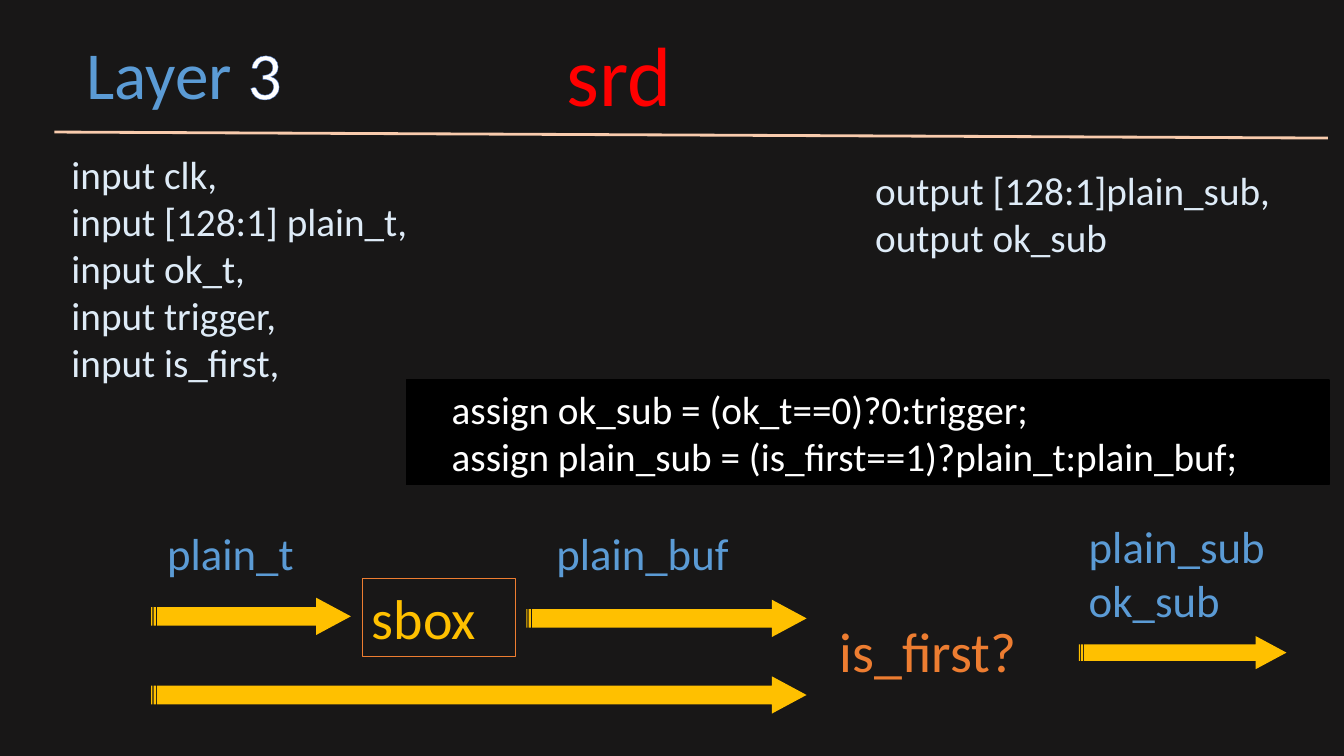
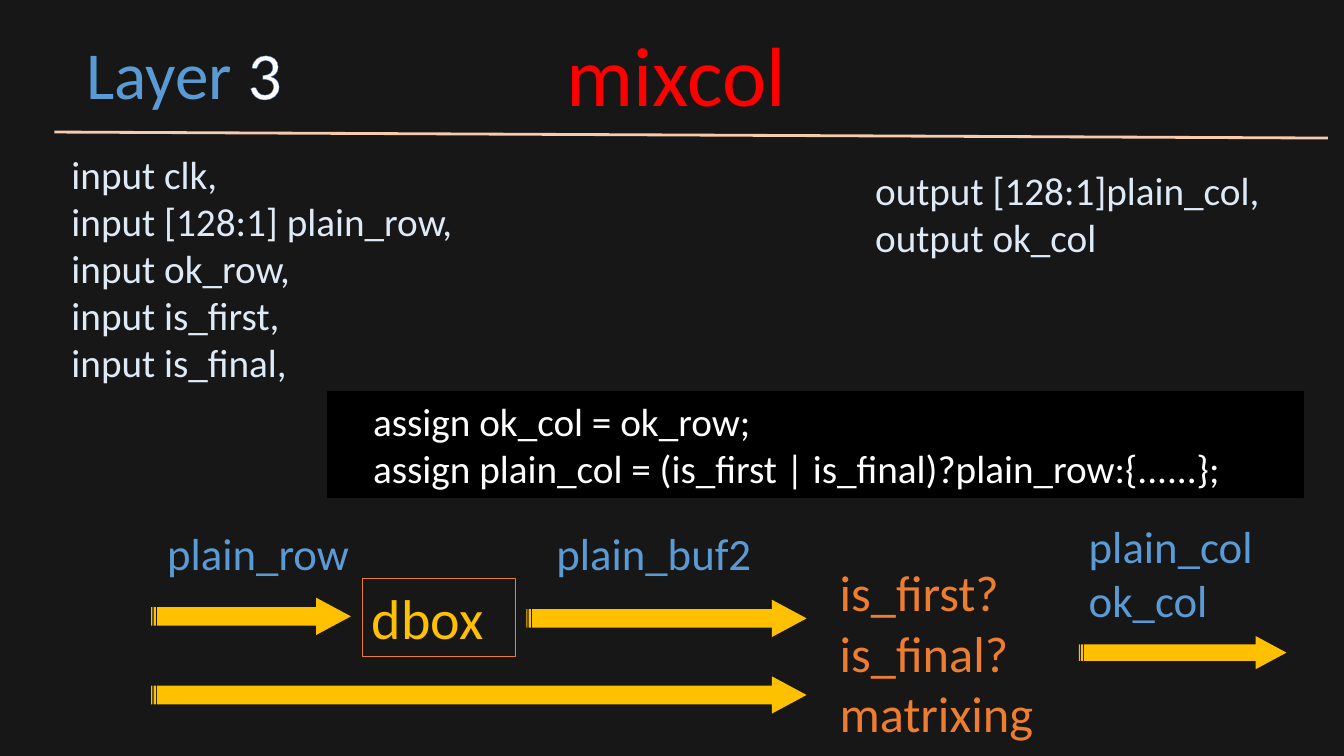
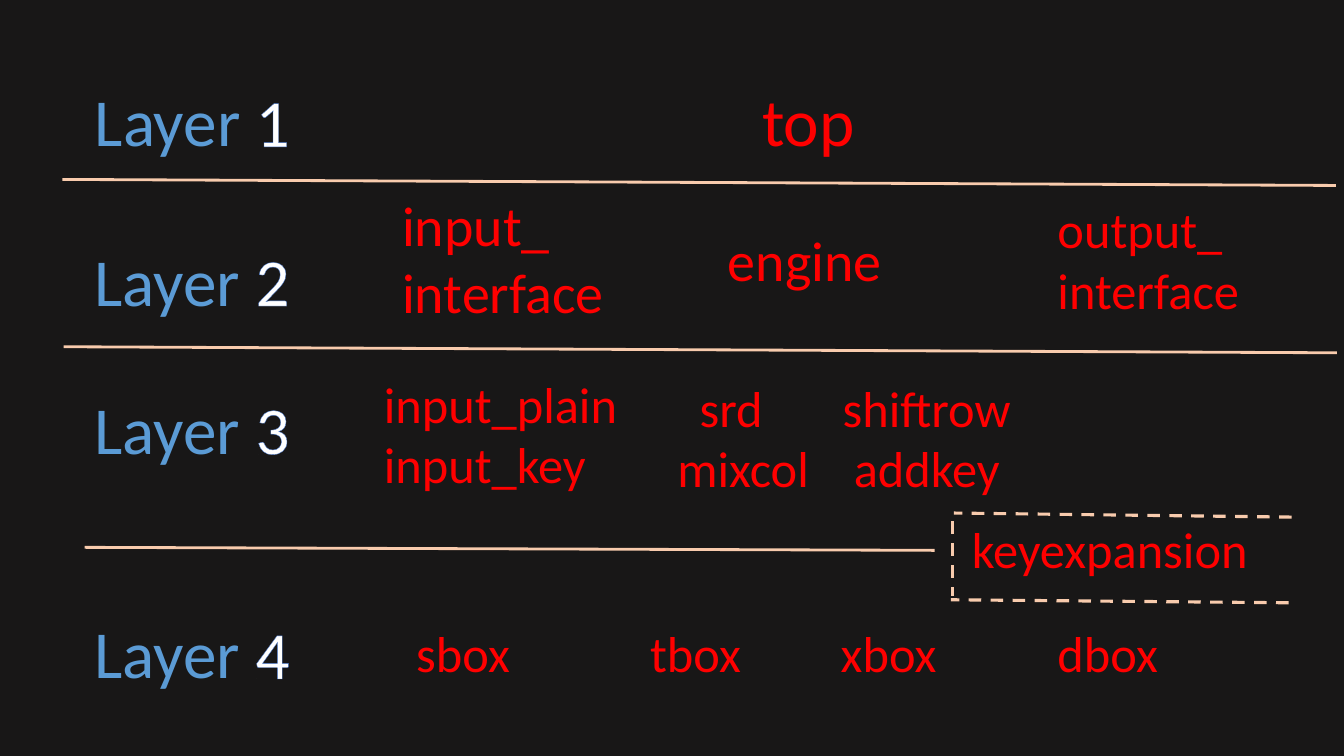
from pptx import Presentation
from pptx.dml.color import RGBColor
from pptx.enum.dml import MSO_LINE
from pptx.enum.shapes import MSO_CONNECTOR, MSO_SHAPE
from pptx.enum.text import MSO_ANCHOR, MSO_AUTO_SIZE, PP_ALIGN
from pptx.oxml import parse_xml
from pptx.oxml.ns import nsdecls
from pptx.util import Emu, Pt

PX = 9144
FONT = "Calibri"
TITLE_ONLY = 5
STRAIGHT = MSO_CONNECTOR.STRAIGHT
STRIPED_ARROW = MSO_SHAPE.STRIPED_RIGHT_ARROW
DASH = MSO_LINE.DASH
TOP = MSO_ANCHOR.TOP
LEFT = PP_ALIGN.LEFT
NO_FIT = MSO_AUTO_SIZE.NONE

COLORS = {
    "background": "181717",
    "black": "000000",
    "white": "FFFFFF",
    "blue": "5B9BD5",
    "pale": "DEEBF7",
    "outline": "4472C4",
    "red": "FF0000",
    "rule": "F8CBAD",
    "orange": "ED7D31",
    "gold": "FFC000",
}

SRD = {
    "name": "srd",
    "inputs": ["clk", "[128:1] plain_t", "ok_t", "trigger", "is_first"],
    "outputs": ["    output [128:1]plain_sub,", "    output ok_sub"],
    "code": ["    assign ok_sub = (ok_t==0)?0:trigger;",
             "    assign plain_sub = (is_first==1)?plain_t:plain_buf;"],
    "code_at": (403, 377, 915, 104),
    "source": "plain_t",
    "lookup": "sbox",
    "buffer": "plain_buf",
    "choice": ["is_first?"],
    "choice_at": (823, 607, 211, 77),
    "choice_size": 40,
    "results": ["plain_sub", "ok_sub"],
}

MIXCOL = {
    "name": "mixcol",
    "inputs": ["clk", "[128:1] plain_row", "ok_row", "is_first", "is_final"],
    "outputs": ["    output [128:1]plain_col,", "    output ok_col"],
    "code": ["    assign ok_col = ok_row;",
             "    assign plain_col = (is_first | is_final)?plain_row:{......};"],
    "code_at": (325, 389, 968, 104),
    "source": "plain_row",
    "lookup": "dbox",
    "buffer": "plain_buf2",
    "choice": ["is_first?", "is_final?", "matrixing"],
    "choice_at": (823, 552, 227, 192),
    "choice_size": 36,
    "results": ["plain_col", "ok_col"],
}

ARROWS = [(150, 593, 198, 37), (522, 595, 278, 37),
          (150, 671, 650, 37), (1070, 631, 206, 33)]

MODULES = [
    (["top"], (746, 74, 119, 91), 48),
    (["input_", "interface"], (389, 184, 255, 145), 40),
    (["engine"], (712, 219, 186, 77), 40),
    (["output_", "interface"], (1039, 192, 214, 131), 36),
    (["input_plain", "input_key"], (371, 365, 264, 131), 36),
    (["srd"], (684, 369, 100, 71), 36),
    (["shiftrow"], (826, 369, 200, 71), 36),
    (["mixcol"], (662, 429, 160, 71), 36),
    (["addkey"], (837, 429, 180, 71), 36),
    (["keyexpansion"], (954, 509, 327, 71), 36),
    (["sbox"], (403, 612, 129, 71), 36),
    (["tbox"], (635, 612, 120, 71), 36),
    (["xbox"], (824, 612, 130, 71), 36),
    (["dbox"], (1039, 612, 134, 71), 36),
]

LAYER_RULES = [(62, 178, 1325, 184), (63, 344, 1326, 350), (84, 543, 927, 546)]
KEY_FRAME = [(945, 517, 945, 591), (1278, 598, 943, 595), (1281, 513, 946, 509)]


def px(*lengths):
    return [Emu(n * PX) for n in lengths]


def rgb(color):
    return RGBColor.from_string(COLORS[color])


def add_run(p, text, size, color):
    r = p.add_run()
    r.text = text
    r.font.name = FONT
    r.font.size = Pt(size)
    r.font.color.rgb = rgb(color)
    return r


def prepare_frame(sp):
    tf = sp.text_frame
    tf.word_wrap = True
    tf.auto_size = NO_FIT
    tf.vertical_anchor = TOP
    return tf


def add_text(s, at, lines, size, color):
    sp = s.shapes.add_textbox(*px(*at))
    tf = prepare_frame(sp)
    for i, line in enumerate(lines):
        p = tf.add_paragraph() if i else tf.paragraphs[0]
        add_run(p, line, size, color)
    return sp


def set_line(sp, color, width):
    sp.line.color.rgb = rgb(color)
    sp.line.width = Pt(width)


def write_layer(sp, number):
    p = prepare_frame(sp).paragraphs[0]
    p.alignment = LEFT
    add_run(p, "Layer ", 48, "blue")
    r = add_run(p, str(number), 48, "white")
    r.font._element.insert(0, parse_xml(
        f'<a:ln {nsdecls("a")} w="10160"><a:solidFill>'
        f'<a:srgbClr val="{COLORS["outline"]}"/></a:solidFill></a:ln>'))


def add_layer(s, x, y, number):
    write_layer(s.shapes.add_textbox(*px(x, y, 240, 91)), number)


def add_titled_slide(prs, x, y, number):
    s = prs.slides.add_slide(prs.slide_layouts[TITLE_ONLY])
    title = s.shapes.title
    title.left, title.top, title.width, title.height = px(x, y, 240, 91)
    write_layer(title, number)
    return s


def add_rule(s, ends, width=2, dash=None):
    line = s.shapes.add_connector(STRAIGHT, *px(*ends))
    set_line(line, "rule", width)
    if dash:
        line.line.dash_style = dash
    line._element.spPr.append(parse_xml(f'<a:effectLst {nsdecls("a")}/>'))


def add_arrow(s, at):
    sp = s.shapes.add_shape(STRIPED_ARROW, *px(*at))
    sp.adjustments[0] = 0.5
    sp.adjustments[1] = 0.93
    sp.shadow.inherit = False
    sp.fill.solid()
    sp.fill.fore_color.rgb = rgb("gold")
    sp.line.fill.background()


def add_module_slide(prs, module):
    s = add_titled_slide(prs, 76, 27, 3)
    add_text(s, (552, 17, 270, 111), [module["name"]], 60, "red")
    add_rule(s, (54, 131, 1317, 137))
    inputs = [f"    input {port}," for port in module["inputs"]]
    add_text(s, (26, 144, 467, 246), inputs, 28, "pale")
    add_text(s, (823, 160, 482, 104), module["outputs"], 28, "pale")

    code = add_text(s, module["code_at"], module["code"], 28, "white")
    code.fill.solid()
    code.fill.fore_color.rgb = rgb("black")
    set_line(code, "black", 1)

    lookup = add_text(s, (359, 574, 152, 77), [module["lookup"]], 40, "gold")
    set_line(lookup, "orange", 0.5)
    for at in ARROWS:
        add_arrow(s, at)
    add_text(s, (156, 517, 220, 64), [module["source"]], 32, "blue")
    add_text(s, (542, 517, 230, 64), [module["buffer"]], 32, "blue")
    add_text(s, module["choice_at"], module["choice"], module["choice_size"], "orange")
    add_text(s, (1070, 510, 210, 118), module["results"], 32, "blue")


def add_layers_slide(prs):
    s = add_titled_slide(prs, 84, 74, 1)
    for number, y in enumerate((232, 379, 602), 2):
        add_layer(s, 84, y, number)
    for lines, at, size in MODULES:
        add_text(s, at, lines, size, "red")
    for ends in LAYER_RULES:
        add_rule(s, ends)
    for ends in KEY_FRAME:
        add_rule(s, ends, 2.25, DASH)


def main():
    prs = Presentation()
    prs.slide_width, prs.slide_height = px(1333, 750)
    fill = prs.slide_master.background.fill
    fill.solid()
    fill.fore_color.rgb = rgb("background")
    for module in (SRD, MIXCOL):
        add_module_slide(prs, module)
    add_layers_slide(prs)
    prs.save("out.pptx")


if __name__ == "__main__":
    main()
